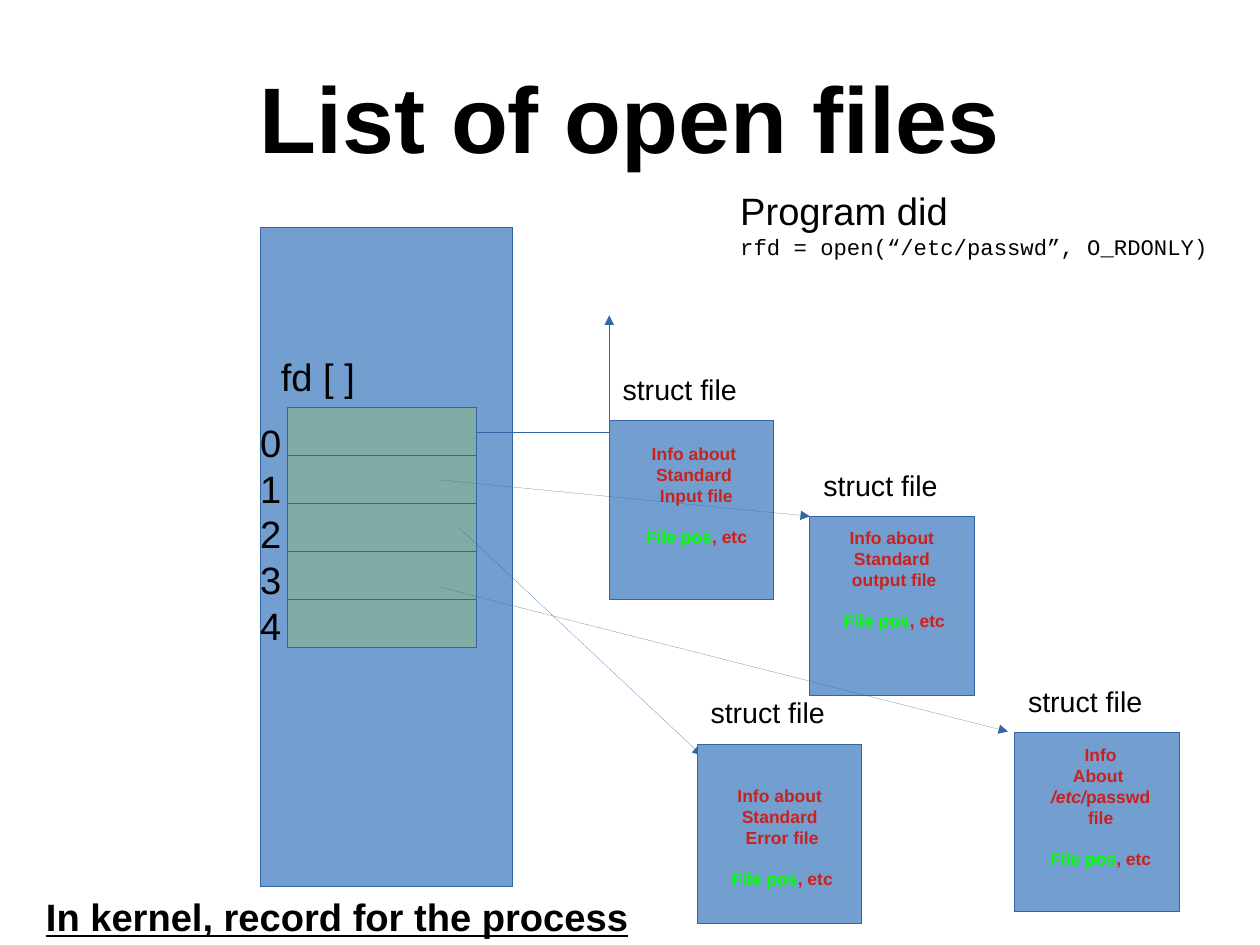
from pptx import Presentation
from pptx.util import Pt
from pptx.dml.color import RGBColor
from pptx.enum.shapes import MSO_SHAPE as Form, MSO_CONNECTOR as Link
from pptx.enum.text import PP_ALIGN as Align, MSO_ANCHOR as Anchor
from lxml.etree import SubElement
from pptx.oxml.ns import qn

BLACK, RED, GREEN = "000000", "C9211E", "00FF00"
BLUE, TEAL, EDGE = "729FCF", "81ACA6", "3465A4"
CELL = 30.24
FILES = [
    (383.7, 264.8, 15.8, 11, ["Info about ", "Standard ", "Input file"]),
    (510.2, 325.2, 13.9, 3.2, ["Info about ", "Standard ", "output file"]),
    (439.1, 468.7, 14.4, 22.4, ["Info about ", "Standard ", "Error file"]),
    (639.1, 461.2, 15, 3.8, ["Info", "About ", "/etc/passwd ", "file"]),
]
ARROWS = [
    (300.2, 272.2, 383.8, 198.7),
    (277.9, 302.4, 510.2, 325.2),
    (289.4, 332.6, 442.1, 475.9),
    (277.9, 370.1, 635, 460.8),
]


def tint(code):
    return RGBColor.from_string(code)


def style(run, size, color=BLACK, bold=False, face="Arial"):
    font = run.font
    font.size, font.name, font.bold = Pt(size), face, bold
    font.color.rgb = tint(color)


def add_text(slide, area, lines, size, align=Align.LEFT, color=BLACK, bold=False):
    box = slide.shapes.add_textbox(*map(Pt, area))
    frame = box.text_frame
    frame.word_wrap = True
    frame.text = "\n".join(lines)
    for para in frame.paragraphs:
        para.alignment = align
        for run in para.runs:
            style(run, size, color, bold)
    return frame


def set_edge(shape):
    shape.line.color.rgb = tint(EDGE)
    edge = shape.element.spPr.find(qn("a:ln"))
    edge.set("w", "0")
    return edge


def add_box(slide, area, fill):
    box = slide.shapes.add_shape(Form.RECTANGLE, *map(Pt, area))
    box.shadow.inherit = False
    box.fill.solid()
    box.fill.fore_color.rgb = tint(fill)
    set_edge(box)


def add_arrow(slide, ends, bent):
    kind = Link.ELBOW if bent else Link.STRAIGHT
    arrow = slide.shapes.add_connector(kind, *map(Pt, ends))
    SubElement(set_edge(arrow), qn("a:tailEnd"), type="triangle")
    props = arrow.element.spPr
    if bent:
        props.find(qn("a:prstGeom")).set("prst", "bentConnector2")
    SubElement(props, qn("a:effectLst"))


def add_note(slide, area, lines):
    frame = add_text(slide, area, lines, 11, Align.CENTER, RED, True)
    frame.word_wrap = False
    for para in frame.paragraphs:
        if para.text.startswith("/etc/"):
            para.text = "/etc/"
            tail = para.add_run()
            tail.text = "passwd "
            for run in para.runs:
                style(run, 11, RED, True)
            para.runs[0].font.italic = True
    last = frame.add_paragraph()
    last.alignment = Align.CENTER
    last.space_before = Pt(12.65)
    for text, color in (("File pos", GREEN), (", etc", RED)):
        run = last.add_run()
        run.text = text
        style(run, 11, color, True)


def main():
    deck = Presentation()
    deck.slide_width, deck.slide_height = Pt(793.7), Pt(595.28)
    slide = deck.slides.add_slide(deck.slide_layouts[6])

    title = add_text(slide, (39.6, 23.4, 714.2, 99.4), ["List of open files"],
                     58.7, Align.CENTER, bold=True)
    title.margin_left = title.margin_right = Pt(0)
    title.margin_top = title.margin_bottom = Pt(0)
    title.vertical_anchor = Anchor.MIDDLE

    add_box(slide, (164.2, 143.3, 158.4, 415.4), BLUE)
    for row in range(5):
        add_box(slide, (181.2, 256.7 + row * CELL, 118.8, CELL), TEAL)
    add_text(slide, (169.9, 218.9, 62.7, 36.7), ["fd [ ]"], 24)
    add_text(slide, (133.2, 260.6, 51.1, 144), [str(n) for n in range(5)],
             24, Align.RIGHT)

    for item, (ends, (x, y, *_)) in enumerate(zip(ARROWS, FILES)):
        add_arrow(slide, ends, item == 0)
        add_box(slide, (x, y, 103.7, 113), BLUE)
        add_text(slide, (x + 1.4, y - 34.2, 102.2, 60.5), ["struct file"], 18)
    for x, y, dx, dy, lines in FILES:
        add_note(slide, (x + dx, y + dy, 78.5, 91.4), lines)

    foot = add_text(slide, (-5.8, 559.2, 436.3, 33.8),
                    ["In kernel, record for the process"], 24, Align.CENTER, bold=True)
    foot.paragraphs[0].runs[0].font.underline = True
    call = add_text(slide, (459.2, 114.5, 329, 116.6),
                    ["Program did", "rfd = open(“/etc/passwd”, O_RDONLY)"], 24)
    style(call.paragraphs[1].runs[0], 14, face="Courier New")
    deck.save("out.pptx")


if __name__ == "__main__":
    main()
